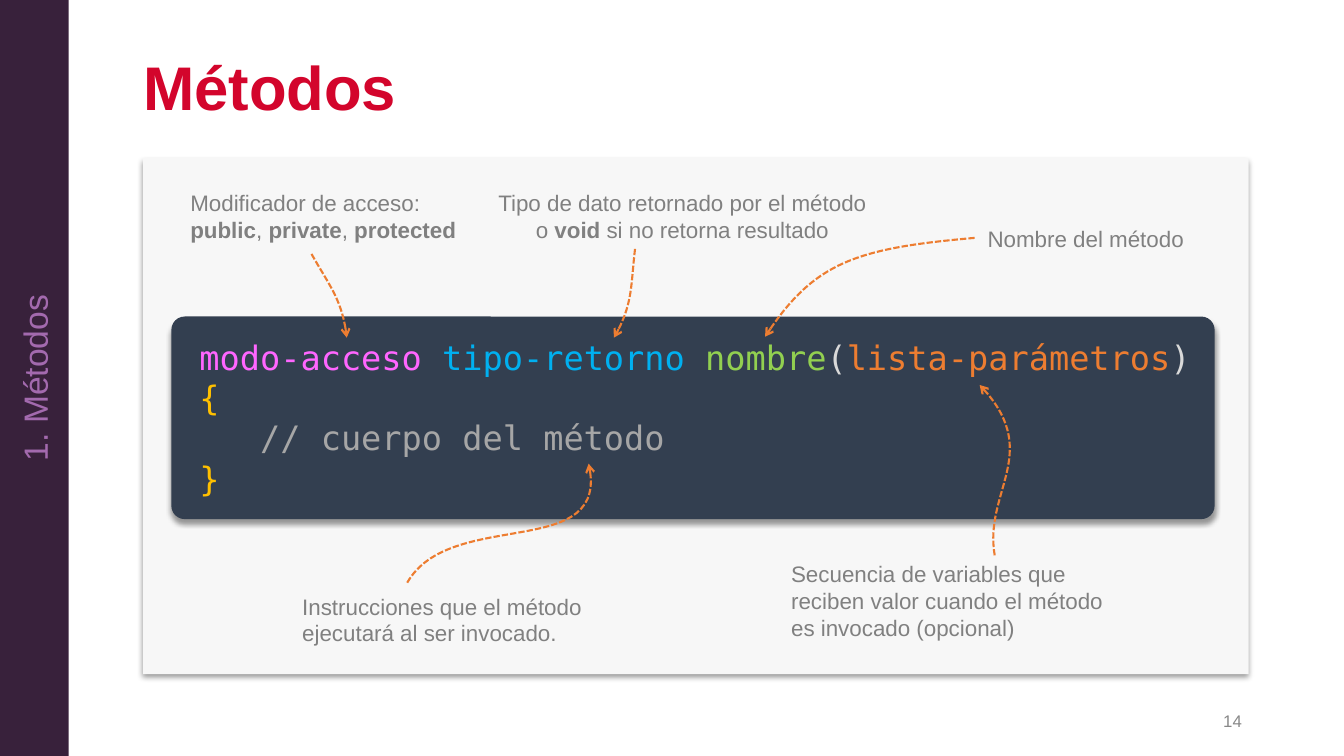
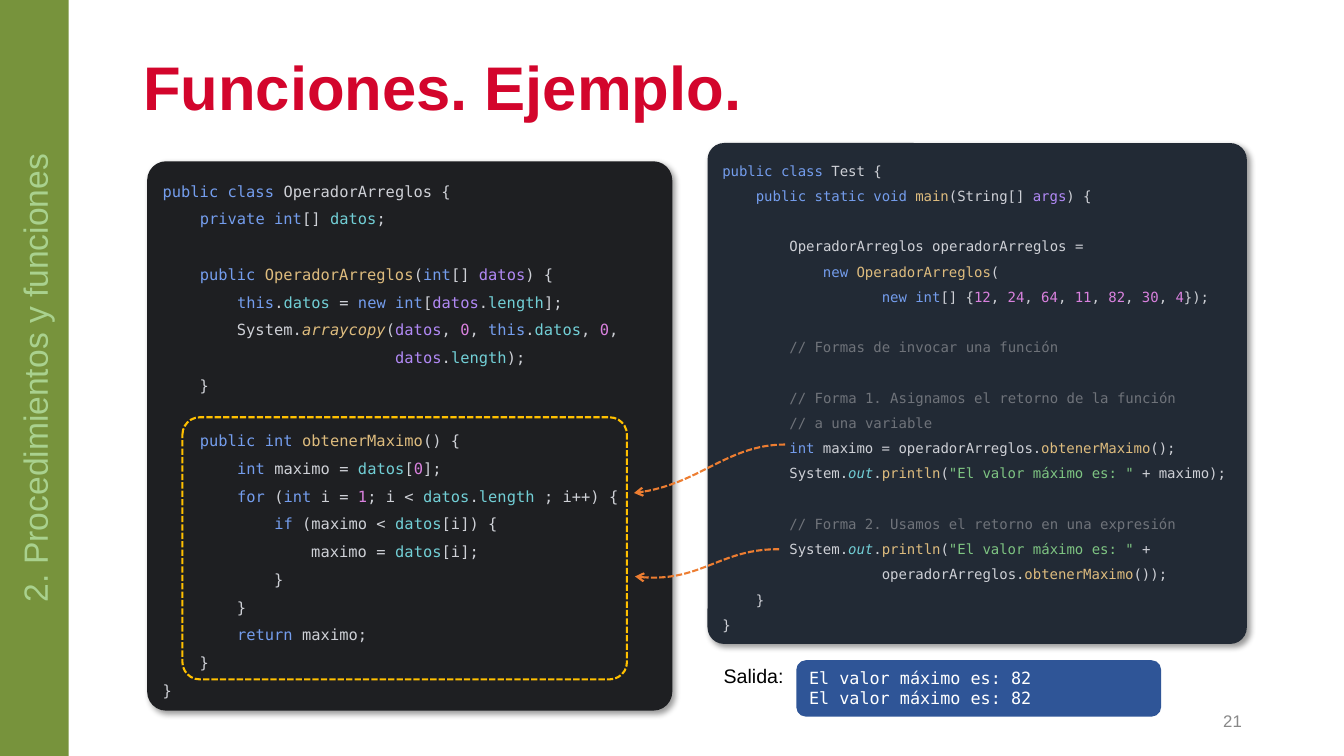
from dataclasses import dataclass

from lxml.etree import SubElement
from pptx import Presentation
from pptx.dml.color import RGBColor as RGB
from pptx.enum.dml import MSO_LINE as Dash
from pptx.enum.shapes import MSO_SHAPE as Preset
from pptx.enum.text import MSO_ANCHOR as Anchor, MSO_AUTO_SIZE as AutoSize, PP_ALIGN as Align
from pptx.oxml.ns import qn
from pptx.util import Pt


@dataclass(frozen=True)
class Theme:
    sans: str = "Arial"
    mono: str = "DejaVu Sans Mono"
    title: str = "D3052C"
    number: str = "888888"
    label: str = "808080"
    panel: str = "F7F7F7"
    arrow: str = "ED7D31"
    highlight: str = "FFC000"
    black: str = "000000"
    white: str = "FFFFFF"
    syntax_box: str = "333F50"
    class_box: str = "1E1F22"
    test_box: str = "222A35"
    output_box: str = "2F5597"
    plum_band: tuple = ("38213B", "A36AAE")
    green_band: tuple = ("77933C", "A9D18E")
    title_size: int = 44
    large_size: int = 24
    label_size: int = 16
    caption_size: int = 14
    small_size: int = 12
    class_size: int = 11
    test_size: int = 10
    line_weight: float = 1.5


THEME = Theme()

MARK = "§"
TOKEN_COLORS = {
    "k": "749DED", "t": "CED0D6", "f": "DEBC7E", "F": "DEBC7E",
    "p": "B189F5", "m": "72CFD6", "M": "72CFD6", "n": "D981DE",
    "s": "7EC482", "c": "6F737A",
    "a": "FF66FF", "r": "00B0F0", "g": "92D050", "w": "D9D9D9",
    "o": THEME.arrow, "y": THEME.highlight, "d": "A6A6A6",
}
ITALIC_TOKENS = "FM"
BOLD_TOKEN = "b"

SYNTAX_CODE = """§amodo-acceso §rtipo-retorno §gnombre§w(§olista-parámetros§w)
§y{
   §d// cuerpo del método
§y}"""

CLASS_CODE = """§kpublic class §tOperadorArreglos {
    §kprivate int§t[] §mdatos§t;

    §kpublic §fOperadorArreglos§t(§kint§t[] §pdatos§t) {
        §kthis§t.§mdatos §t= §knew int§t[§pdatos§t.§mlength§t];
        System.§Farraycopy§t(§pdatos§t, §n0§t, §kthis§t.§mdatos§t, §n0§t,
                         §pdatos§t.§mlength§t);
    }

    §kpublic int §fobtenerMaximo§t() {
        §kint §tmaximo = §mdatos§t[§n0§t];
        §kfor §t(§kint §ti = §n1§t; i < §mdatos§t.§mlength §t; i++) {
            §kif §t(maximo < §mdatos§t[i]) {
                maximo = §mdatos§t[i];
            }
        }
        §kreturn §tmaximo;
    }
}"""

TEST_CODE = """§kpublic class §tTest {
    §kpublic static void §fmain§t(String[] §pargs§t) {

        OperadorArreglos operadorArreglos =
            §knew §fOperadorArreglos§t(
                   §knew int§t[] {§n12§t, §n24§t, §n64§t, §n11§t, §n82§t, §n30§t, §n4§t});

        §c// Formas de invocar una función

        // Forma 1. Asignamos el retorno de la función
        // a una variable
        §kint §tmaximo = operadorArreglos.§fobtenerMaximo§t();
        System.§Mout§t.§fprintln§t(§s"El valor máximo es: " §t+ maximo);

        §c// Forma 2. Usamos el retorno en una expresión
        §tSystem.§Mout§t.§fprintln§t(§s"El valor máximo es: " §t+
                   operadorArreglos.§fobtenerMaximo§t());
    }
}"""


def write(frame, text, *, size, color, font=THEME.sans, bold=False, align=Align.LEFT,
          spacing=None, anchor=Anchor.TOP, wrap=True, insets=(7.2, 3.6, 7.2, 3.6)):
    frame.word_wrap = wrap
    frame.auto_size = AutoSize.NONE
    frame.vertical_anchor = anchor
    frame.margin_left, frame.margin_top, frame.margin_right, frame.margin_bottom = map(Pt, insets)
    paragraph, token, gap = None, "", 0
    for line in text.split("\n"):
        if not line:
            gap += 1.2 * size * (spacing or 1)
            continue
        paragraph = frame.add_paragraph() if paragraph else frame.paragraphs[0]
        paragraph.alignment = align
        if spacing:
            paragraph.line_spacing = spacing
        if gap:
            paragraph.space_before = Pt(gap)
            gap = 0
        for index, piece in enumerate(line.split(MARK)):
            if index:
                token, piece = piece[0], piece[1:]
            if not piece:
                continue
            run = paragraph.add_run()
            run.text = piece
            run.font.name = font
            run.font.size = Pt(size)
            run.font.bold = bold or token == BOLD_TOKEN
            run.font.italic = token != "" and token in ITALIC_TOKENS
            run.font.color.rgb = RGB.from_string(TOKEN_COLORS.get(token, color))


class Deck:
    def __init__(self, theme):
        self.theme = theme
        self.presentation = Presentation()
        self.presentation.slide_width = Pt(960)
        self.presentation.slide_height = Pt(540)
        self.slide = None

    def add_slide(self, title, number, section, band):
        theme = self.theme
        self.slide = self.presentation.slides.add_slide(self.presentation.slide_layouts[5])
        heading = self.slide.shapes.title
        heading.left, heading.top, heading.width, heading.height = map(Pt, (95, 33.8, 799.2, 61.9))
        write(heading.text_frame, title, size=theme.title_size, color=theme.title, bold=True,
              spacing=0.9, anchor=Anchor.MIDDLE)
        self.text(str(number), (678.2, 500.4, 216, 28.8), size=theme.small_size,
                  color=theme.number, align=Align.RIGHT, anchor=Anchor.MIDDLE)
        fill, ink = band
        frame = self.box((0, 0, 49, 540), fill=fill).text_frame
        write(frame, section, size=theme.large_size, color=ink, align=Align.CENTER,
              anchor=Anchor.MIDDLE)
        frame._txBody.bodyPr.set("vert", "vert270")

    def text(self, text, place, **style):
        shape = self.slide.shapes.add_textbox(*map(Pt, place))
        write(shape.text_frame, text, **style)

    def label(self, text, place, **style):
        self.text(text, place, size=self.theme.label_size, color=self.theme.label, **style)

    def box(self, place, *, fill=None, corner=None, shadow_angle=None):
        preset = Preset.RECTANGLE if corner is None else Preset.ROUNDED_RECTANGLE
        shape = self.slide.shapes.add_shape(preset, *map(Pt, place))
        if corner is not None:
            shape.adjustments[0] = corner
        shape.line.fill.background()
        if fill:
            shape.fill.solid()
            shape.fill.fore_color.rgb = RGB.from_string(fill)
        else:
            shape.fill.background()
        shape.shadow.inherit = False
        if shadow_angle is not None:
            self.cast_shadow(shape, shadow_angle)
        return shape

    def cast_shadow(self, shape, angle):
        effects = shape._element.spPr.find(qn("a:effectLst"))
        shadow = SubElement(effects, qn("a:outerShdw"), blurRad=str(Pt(4)), dist=str(Pt(3)),
                            dir=str(angle * 60000), algn="t", rotWithShape="0")
        color = SubElement(shadow, qn("a:srgbClr"), val=self.theme.black)
        SubElement(color, qn("a:alpha"), val="40000")

    def code(self, text, place, *, fill, corner, shadow_angle=None, **style):
        shape = self.box(place, fill=fill, corner=corner, shadow_angle=shadow_angle)
        write(shape.text_frame, text, font=self.theme.mono, color=self.theme.white, **style)

    def dash(self, shape, color):
        shape.line.color.rgb = RGB.from_string(color)
        shape.line.width = Pt(self.theme.line_weight)
        shape.line.dash_style = Dash.SQUARE_DOT

    def dashed_frame(self, place, corner):
        self.dash(self.box(place, corner=corner), self.theme.highlight)

    def arrow(self, start, *controls_and_end):
        builder = self.slide.shapes.build_freeform(*map(Pt, start))
        builder.add_line_segments([tuple(map(Pt, point)) for point in controls_and_end],
                                  close=False)
        shape = builder.convert_to_shape()
        outline = shape._element.spPr.find(".//" + qn("a:custGeom") + "//" + qn("a:path"))
        segments = outline.findall(qn("a:lnTo"))
        curve = SubElement(outline, qn("a:cubicBezTo"))
        for segment in segments:
            curve.append(segment[0])
            outline.remove(segment)
        shape.fill.background()
        shape.shadow.inherit = False
        self.dash(shape, self.theme.arrow)
        SubElement(shape.line._get_or_add_ln(), qn("a:tailEnd"), type="arrow")


def add_methods_slide(deck):
    theme = deck.theme
    deck.add_slide("Métodos", 14, "1. Métodos", theme.plum_band)
    deck.box((102.2, 113, 789.8, 368.6), fill=theme.panel, shadow_angle=90)
    deck.code(SYNTAX_CODE, (122.4, 226.1, 745.2, 144.7), fill=theme.syntax_box, corner=0.066,
              shadow_angle=90, size=theme.large_size, insets=(17.3, 11.5, 7.2, 11.5))
    deck.label("Modificador de acceso: §bpublic§-, §bprivate§-, §bprotected",
               (128.9, 131.8, 211.7, 46.1))
    deck.label("Tipo de dato retornado por el método o §bvoid§- si no retorna resultado",
               (342.7, 131.8, 289.4, 46.1), align=Align.CENTER)
    deck.label("Nombre del método", (698.4, 157, 169.9, 26.6))
    deck.label("Secuencia de variables que reciben valor cuando el método es invocado (opcional)",
               (558, 396.7, 248.4, 65.5))
    deck.label("Instrucciones que el método ejecutará al ser invocado.",
               (208.8, 419.8, 234.7, 46.1))
    deck.arrow((222.5, 181.4), (234.7, 203), (244.8, 214.6), (247.7, 241.2))
    deck.arrow((453.6, 177.8), (450.7, 202.3), (452.2, 218.2), (438.5, 241.2))
    deck.arrow((696.2, 169.9), (614.2, 177.1), (581, 187.2), (546.5, 240.5))
    deck.arrow((710.6, 396.7), (702.7, 352.1), (745.9, 322.6), (699.8, 275))
    deck.arrow((290.9, 416.2), (321.1, 363.6), (437, 401.8), (420.5, 331.2))


def add_functions_slide(deck):
    theme = deck.theme
    deck.add_slide("Funciones. Ejemplo.", 21, "2. Procedimientos y funciones", theme.green_band)
    listing = dict(shadow_angle=45, spacing=1.5, anchor=Anchor.MIDDLE)
    deck.code(TEST_CODE, (505.4, 102.2, 385.2, 357.8), fill=theme.test_box, corner=0.033,
              size=theme.test_size, wrap=False, **listing)
    deck.code(CLASS_CODE, (105.1, 115.2, 375.1, 392.4), fill=theme.class_box, corner=0.036,
              size=theme.class_size, **listing)
    deck.dashed_frame((130.3, 298.1, 317.5, 187.2), corner=0.066)
    deck.arrow((560.9, 317.5), (520.6, 317.5), (499, 347), (452.9, 352.1))
    deck.arrow((556.6, 392.4), (515.5, 391.7), (499.7, 417.6), (453.6, 411.8))
    deck.code("\n".join(["El valor máximo es: 82"] * 2), (568.8, 471.6, 260.6, 40.3),
              fill=theme.output_box, corner=0.17, size=theme.small_size)
    deck.text("Salida:", (509.8, 470.9, 60.5, 24.5), size=theme.caption_size, color=theme.black)


def main():
    deck = Deck(THEME)
    add_methods_slide(deck)
    add_functions_slide(deck)
    deck.presentation.save("out.pptx")


if __name__ == "__main__":
    main()
